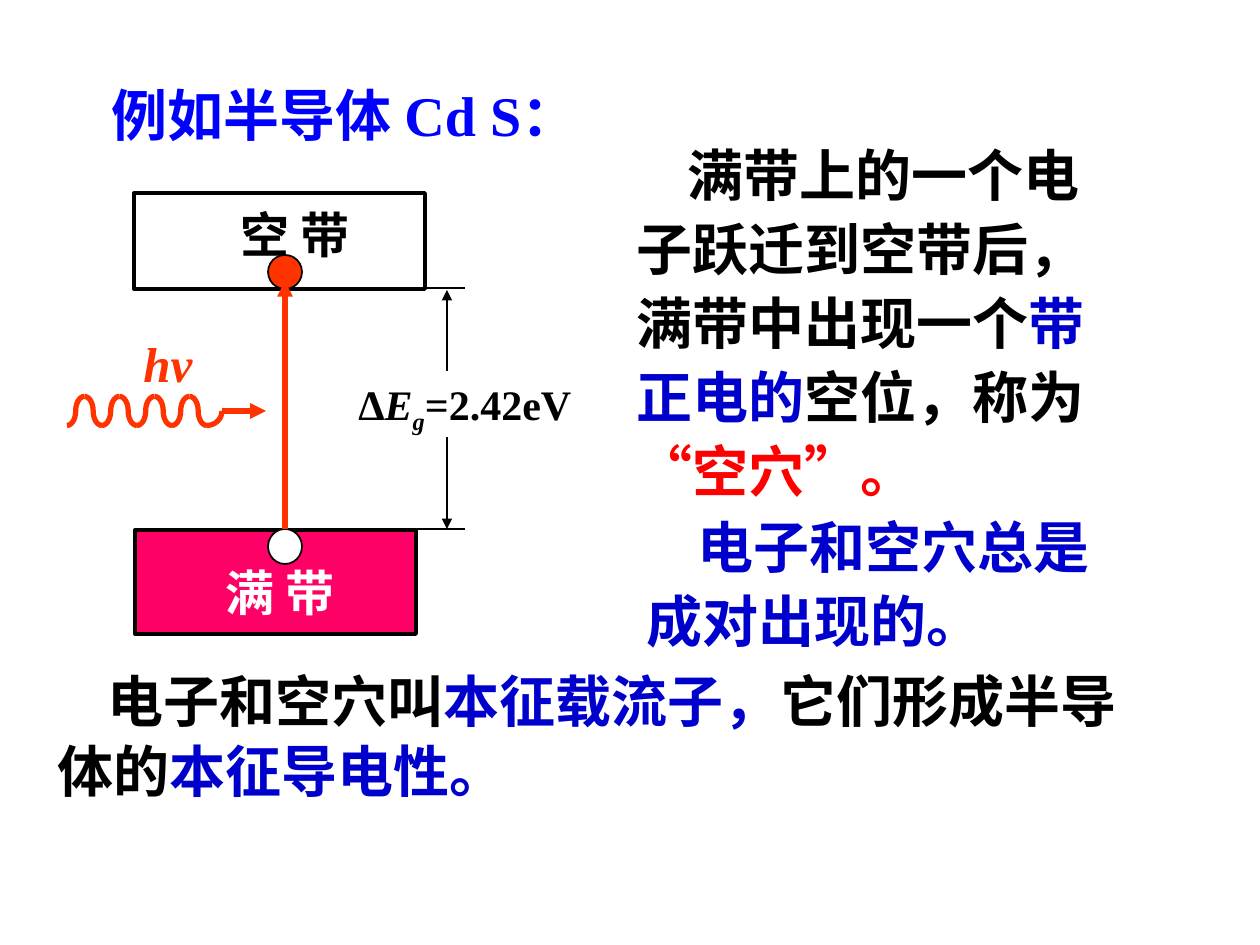
from math import cos, pi, sin

from lxml import etree
from pptx import Presentation
from pptx.dml.color import RGBColor
from pptx.enum.shapes import MSO_CONNECTOR, MSO_SHAPE
from pptx.enum.text import MSO_ANCHOR, MSO_AUTO_SIZE, PP_ALIGN
from pptx.oxml.ns import qn
from pptx.util import Emu, Pt

EMU_PER_PX = 914400 / 126
COLORS = {
    "black": "000000", "white": "FFFFFF", "title": "0000FF", "blue": "0000CC",
    "red": "FF0000", "photon": "FF3300", "pink": "FF0066",
}
SERIF, BAND_FONT = "Times New Roman", "TeX Gyre Pagella"
INDENT = 51  # first-line indent of the prose

# Shapes: kind, box, fill, line colour, line width in points
BANDS = [
    (MSO_SHAPE.RECTANGLE, (135, 530, 281, 104), "pink", "black", 2.25),
    (MSO_SHAPE.RECTANGLE, (134, 193, 291, 96), "white", "black", 2.25),
]
CARRIERS = [
    (MSO_SHAPE.OVAL, (268, 529, 34, 35), "white", "black", 1),
    (MSO_SHAPE.OVAL, (268, 255, 34, 34), "photon", "black", 1),
]
GAP_LABEL = (MSO_SHAPE.RECTANGLE, (346, 372, 267, 64), "white", "white", 0.75)

# Lines: from, to, colour, width, arrowheads
PHOTON_ARROW = ((222, 411), (266, 411), "photon", 3, ["tailEnd"])
JUMP_ARROW = ((285, 529), (285, 281), "photon", 3, ["tailEnd"])
GAP_LINES = [
    ((417, 529), (465, 529), "black", 1, []),
    ((426, 288), (465, 288), "black", 1, []),
    ((447, 529), (447, 290), "black", 1, ["headEnd", "tailEnd"]),
]
WAVE = {"left": 67, "mid": 411, "height": 14.5, "half": 17.5, "arcs": 8, "end": 15}

# Text: paragraphs are lists of (text, colour, extra run format)
GAP_TEXT = [[("Δ", "black", {}), ("E", "black", {"italic": True}),
             ("g", "black", {"italic": True, "baseline": -25}),
             ("=2.42eV", "black", {})]]
TITLE = ((99, 75, 577, 79), [[("例如半导体 Cd S：", "title", {})]], {"anchor": MSO_ANCHOR.MIDDLE})
BAND_NAMES = [
    ((213, 556, 181, 72), [[("满 带", "white", {})]], {"size": 28, "font": BAND_FONT}),
    ((228, 198, 141, 72), [[("空 带", "black", {})]], {"size": 28, "font": BAND_FONT}),
]
PHOTON_NAME = ((129, 327, 78, 72), [[("hν", "photon", {"italic": True})]],
               {"size": 28, "anchor": MSO_ANCHOR.MIDDLE, "align": PP_ALIGN.CENTER, "wrap": False})
PROSE = [
    ((624, 128, 504, 382),
     [[("满带上的一个电子跃迁到空带后，", "black", {})],
      [("满带中出现一个", "black", {}), ("带正电的", "blue", {}),
       ("空位，称为 ", "black", {}), ("“空穴”。", "red", {})]],
     {"anchor": MSO_ANCHOR.MIDDLE, "spacing": 1.1, "indent": INDENT}),
    ((634, 500, 498, 160),
     [[("电子和空穴总是", "blue", {})], [("成对出现的。", "blue", {})]],
     {"anchor": MSO_ANCHOR.MIDDLE, "spacing": 1.1, "indent": INDENT}),
    ((44, 661, 1101, 79),
     [[("电子和空穴叫", "black", {}), ("本征载流子，", "blue", {}),
       ("它们形成半导", "black", {})]],
     {"anchor": MSO_ANCHOR.MIDDLE, "align": PP_ALIGN.JUSTIFY, "indent": INDENT}),
    ((45, 730, 557, 79),
     [[("体的", "black", {}), ("本征导电性。", "blue", {})]], {}),
]


def px(value):
    return Emu(round(value * EMU_PER_PX))


def rgb(name):
    return RGBColor.from_string(COLORS[name])


def set_line(shape, color, width):
    shape.line.color.rgb = rgb(color)
    shape.line.width = Pt(width)


def write(shape, paragraphs, size=32, font=SERIF, anchor=MSO_ANCHOR.TOP,
          align=PP_ALIGN.LEFT, wrap=True, spacing=None, indent=0):
    frame = shape.text_frame
    frame.word_wrap = wrap
    frame.auto_size = MSO_AUTO_SIZE.SHAPE_TO_FIT_TEXT
    frame.vertical_anchor = anchor
    for number, runs in enumerate(paragraphs):
        paragraph = frame.add_paragraph() if number else frame.paragraphs[0]
        paragraph.alignment = align
        if spacing:
            paragraph.line_spacing = spacing
        if indent and number == 0:
            properties = paragraph._p.get_or_add_pPr()
            properties.set("marL", "0")
            properties.set("indent", str(px(indent)))
        for text, color, extra in runs:
            run = paragraph.add_run()
            run.text = text
            run.font.name, run.font.size, run.font.bold = font, Pt(size), True
            run.font.italic = extra.get("italic", False)
            run.font.color.rgb = rgb(color)
            if "baseline" in extra:
                run.font._element.set("baseline", str(extra["baseline"] * 1000))


def add_text(slide, box, paragraphs, style):
    write(slide.shapes.add_textbox(*map(px, box)), paragraphs, **style)


def add_shape(slide, kind, box, fill, line, width):
    shape = slide.shapes.add_shape(kind, *map(px, box))
    shape.shadow.inherit = False
    shape.fill.solid()
    shape.fill.fore_color.rgb = rgb(fill)
    set_line(shape, line, width)
    return shape


def add_line(slide, start, end, color, width, heads):
    line = slide.shapes.add_connector(MSO_CONNECTOR.STRAIGHT, *map(px, start + end))
    set_line(line, color, width)
    for head in heads:
        etree.SubElement(line.line._get_or_add_ln(), qn("a:" + head), type="triangle")
    etree.SubElement(line._element.spPr, qn("a:effectLst"))


def add_quarter(slide, center, radius, mid, height, first):
    """Draw a quarter ellipse that starts at the angle first."""
    steps = 12
    angles = [first + pi / 2 * step / steps for step in range(steps + 1)]
    points = [(px(center - radius * cos(angle)), px(mid + height * sin(angle)))
              for angle in angles]
    builder = slide.shapes.build_freeform(*points[0])
    builder.add_line_segments(points[1:], close=False)
    quarter = builder.convert_to_shape()
    quarter.shadow.inherit = False
    quarter.fill.background()
    set_line(quarter, "photon", 3)


def add_wave(slide, left, mid, height, half, arcs, end):
    """Chain troughs and crests from quarters; the last one is wider."""
    for number in range(arcs + 1):
        center = left + number * half
        side = height * (-1) ** number
        if number:
            add_quarter(slide, center, half / 2, mid, side, 0)
        radius = half / 2 if number < arcs else end
        add_quarter(slide, center, radius, mid, side, pi / 2)


def main():
    presentation = Presentation()
    presentation.slide_width, presentation.slide_height = px(1260), px(945)
    slide = presentation.slides.add_slide(presentation.slide_layouts[6])

    # Title and energy bands
    add_text(slide, *TITLE)
    for band, name in zip(BANDS, BAND_NAMES):
        add_shape(slide, *band)
        add_text(slide, *name)

    # Incoming photon
    add_wave(slide, **WAVE)
    add_line(slide, *PHOTON_ARROW)
    add_text(slide, *PHOTON_NAME)

    # Electron, hole and the jump between them
    for carrier in CARRIERS:
        add_shape(slide, *carrier)
    add_line(slide, *JUMP_ARROW)

    # Band gap dimension
    for gap_line in GAP_LINES:
        add_line(slide, *gap_line)
    write(add_shape(slide, *GAP_LABEL), GAP_TEXT, size=24)

    # Explanation
    for block in PROSE:
        add_text(slide, *block)

    presentation.save("out.pptx")


if __name__ == "__main__":
    main()
